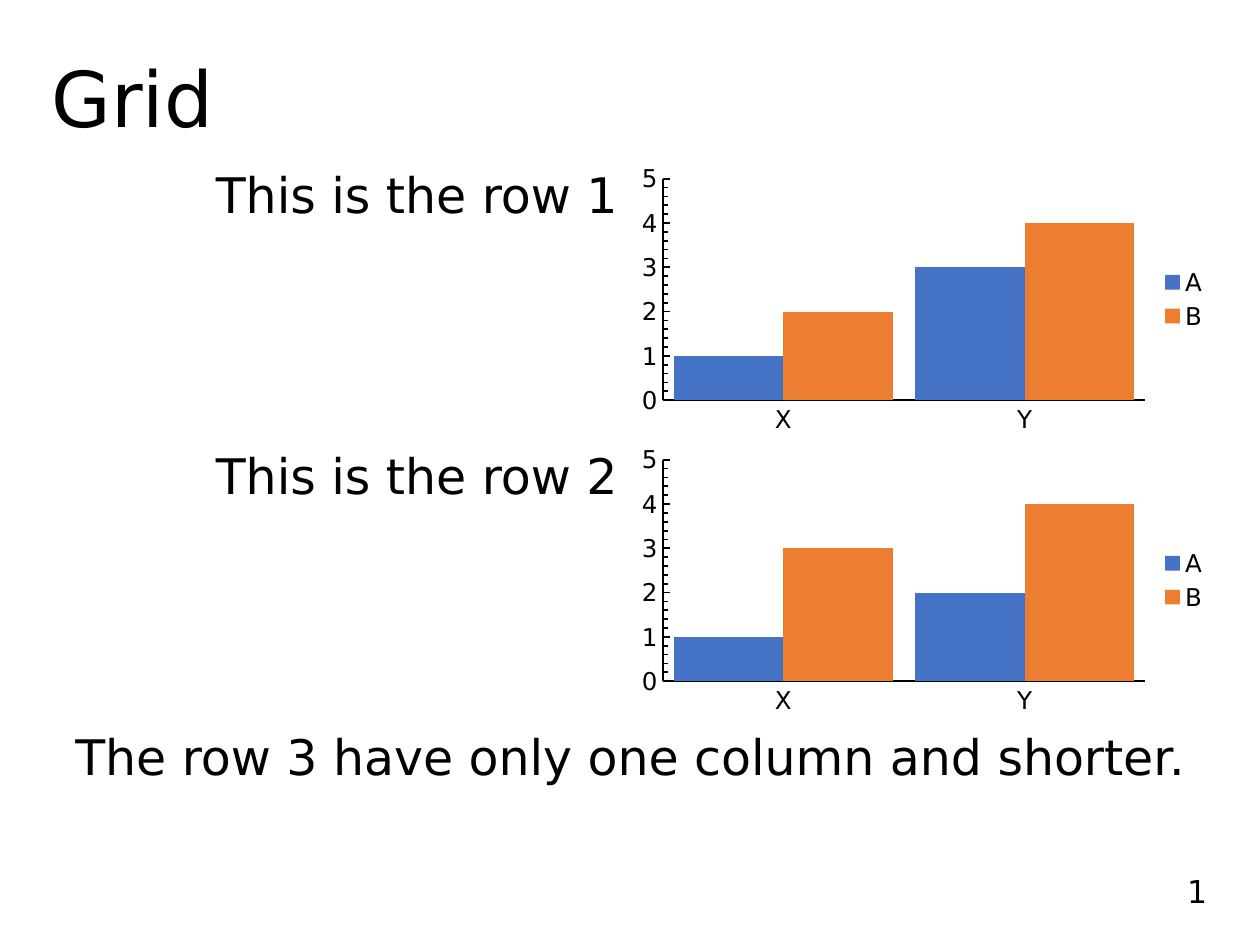
import pptx
import pptx.chart.data
import pptx.dml.color
import pptx.enum.chart
import pptx.enum.text
import pptx.util
from pptx.util import Inches

FONT = "DejaVu Sans"
INK = "000000"
SERIES_COLORS = ("4472C4", "ED7D31")
ALIGN = pptx.enum.text.PP_ALIGN
ANCHOR = pptx.enum.text.MSO_ANCHOR
TICK = pptx.enum.chart.XL_TICK_MARK
MARGIN, GRID_TOP = 0.31, 1.26
COLUMN_WIDTH, ROW_HEIGHT = 4.69, 2.23
ROWS = (
    ("This is the row 1", {"A": (1, 3), "B": (2, 4)}),
    ("This is the row 2", {"A": (1, 2), "B": (3, 4)}),
)


def color(value):
    """Turn a hex string into a colour."""
    return pptx.dml.color.RGBColor.from_string(value)


def apply(target, values):
    """Set each named attribute on the target."""
    for name, value in values.items():
        setattr(target, name, value)


def style_font(font, size):
    """Give a font the face, size and ink of the slide."""
    apply(font, {"name": FONT, "size": pptx.util.Pt(size), "bold": False})
    font.color.rgb = color(INK)


def write(frame, words, size, align, anchor=ANCHOR.TOP, wrap=True):
    """Fill a text frame with one formatted paragraph."""
    apply(frame, {"text": words, "word_wrap": wrap, "vertical_anchor": anchor,
                  "auto_size": pptx.enum.text.MSO_AUTO_SIZE.NONE})
    paragraph = frame.paragraphs[0]
    paragraph.alignment = align
    style_font(paragraph.runs[0].font, size)


def add_title(slide, box, words):
    """Place the title placeholder in the box."""
    title = slide.shapes.title
    apply(title, dict(zip(("left", "top", "width", "height"), map(Inches, box))))
    write(title.text_frame, words, 44, ALIGN.LEFT, ANCHOR.MIDDLE)


def add_words(slide, box, words, align, size=28, wrap=True):
    """Place a line of text in the box."""
    label = slide.shapes.add_textbox(*map(Inches, box))
    write(label.text_frame, words, size, align, wrap=wrap)


def add_columns(slide, box, values):
    """Place a clustered column chart in the box."""
    table = pptx.chart.data.CategoryChartData(number_format="General")
    table.categories = ("X", "Y")
    for name, heights in values.items():
        table.add_series(name, heights)
    chart = slide.shapes.add_chart(
        pptx.enum.chart.XL_CHART_TYPE.COLUMN_CLUSTERED, *map(Inches, box), table).chart
    style_font(chart.font, 10)
    apply(chart, {"has_title": False, "has_legend": True})
    apply(chart.legend, {"position": pptx.enum.chart.XL_LEGEND_POSITION.RIGHT,
                         "include_in_layout": False})
    style_font(chart.legend.font, 14)
    plot = chart.plots[0]
    apply(plot, {"gap_width": 20, "overlap": 0, "vary_by_categories": False})
    for series, fill in zip(plot.series, SERIES_COLORS):
        series.format.fill.solid()
        series.format.fill.fore_color.rgb = color(fill)
    apply(chart.value_axis, {"minimum_scale": 0, "maximum_scale": 5,
                             "major_unit": 1, "minor_unit": 0.2})
    for axis, tick in ((chart.category_axis, TICK.NONE), (chart.value_axis, TICK.INSIDE)):
        apply(axis, {"has_major_gridlines": False, "major_tick_mark": tick,
                     "minor_tick_mark": tick})
        style_font(axis.tick_labels.font, 14)
        axis.format.line.color.rgb = color(INK)
        axis.format.line.width = pptx.util.Pt(1)


def add_row(slide, box, words, values):
    """Split the box into a label on the left and a chart on the right."""
    left, top, width, height = box
    half = width / 2
    add_words(slide, (left, top, half, height), words, ALIGN.RIGHT)
    add_columns(slide, (left + half, top, half, height), values)


def main():
    """Build the slide and save it."""
    deck = pptx.Presentation()
    apply(deck, {"slide_width": Inches(10), "slide_height": Inches(7.5)})
    slide = deck.slides.add_slide(deck.slide_layouts[5])
    width = 2 * COLUMN_WIDTH
    add_title(slide, (MARGIN, MARGIN, width, 0.91), "Grid")
    for index, (words, values) in enumerate(ROWS):
        top = GRID_TOP + index * ROW_HEIGHT
        add_row(slide, (MARGIN, top, width, ROW_HEIGHT), words, values)
    last_top = GRID_TOP + len(ROWS) * ROW_HEIGHT
    add_words(slide, (MARGIN, last_top, width, ROW_HEIGHT / 2),
              "The row 3 have only one column and shorter.", ALIGN.CENTER)
    add_words(slide, (9.37, 6.87, 0.31, 0.31), "1", ALIGN.RIGHT, size=18, wrap=False)
    deck.save("out.pptx")


if __name__ == "__main__":
    main()
